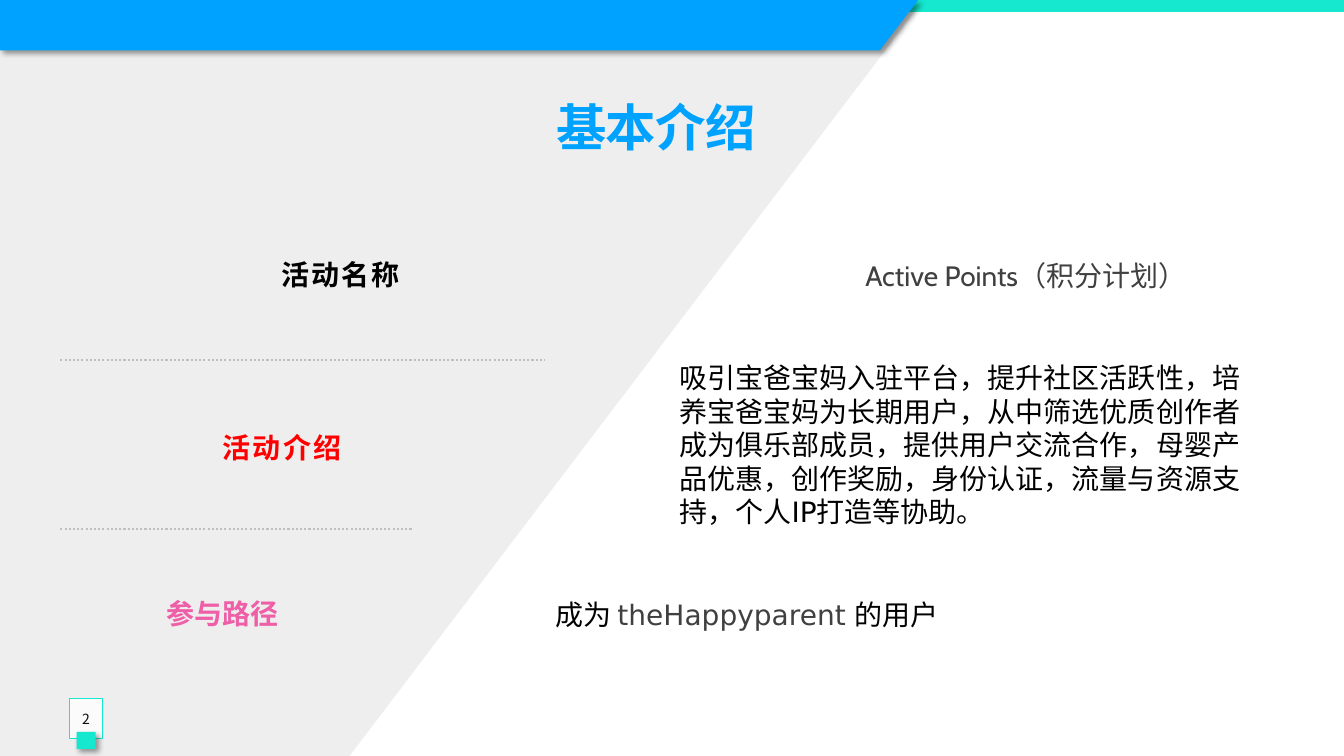
from lxml import etree
from pptx import Presentation
from pptx import util as u
from pptx.dml.color import RGBColor
from pptx.enum import dml, shapes, text
from pptx.oxml import parse_xml
from pptx.oxml.ns import nsdecls, qn

BLUE = RGBColor(0x00, 0xA2, 0xFF)
TEAL = RGBColor(0x16, 0xE7, 0xCF)
PALE = RGBColor(0xEE, 0xEE, 0xEE)
WHITE = RGBColor(0xFF, 0xFF, 0xFF)
BLACK = RGBColor(0x00, 0x00, 0x00)
INK = RGBColor(0x0D, 0x0D, 0x0D)
GREY = RGBColor(0x40, 0x40, 0x40)
RULE = RGBColor(0xBF, 0xBF, 0xBF)
RED = RGBColor(0xFF, 0x00, 0x00)
PINK = RGBColor(0xEF, 0x5F, 0xA7)
CJK = "Noto Sans CJK SC"
CENTER = text.PP_ALIGN.CENTER
MIDDLE = text.MSO_ANCHOR.MIDDLE


def write(sp, runs, font, size=20, bold=False, spacing=0, align=CENTER, anchor=MIDDLE, leading=None):
    tf = sp.text_frame
    tf.word_wrap = True
    tf.auto_size = text.MSO_AUTO_SIZE.NONE
    tf.vertical_anchor = anchor
    p = tf.paragraphs[0]
    p.alignment = align
    p.line_spacing = leading
    for words, colour in runs:
        r = p.add_run()
        r.text = words
        r.font.name = font
        r.font.size = u.Pt(size)
        r.font.bold = bold
        r.font.color.rgb = colour
        rpr = r.font._element
        rpr.set("spc", str(int(spacing * 100)))
        ea = etree.Element(qn("a:ea"), typeface=CJK)
        rpr.find(qn("a:latin")).addnext(ea)


def paint(sp, colour, shadow=False):
    sp.fill.solid()
    sp.fill.fore_color.rgb = colour
    sp.line.fill.background()
    sp.shadow.inherit = False
    if shadow:
        sp.element.spPr.find(qn("a:effectLst")).append(parse_xml(
            f'<a:outerShdw {nsdecls("a")} blurRad="50800" dist="38100" dir="2700000" algn="tl" rotWithShape="0">'
            '<a:srgbClr val="000000"><a:alpha val="40000"/></a:srgbClr></a:outerShdw>'))


prs = Presentation()
prs.slide_width = u.Cm(33.87)
prs.slide_height = u.Cm(19.05)
s = prs.slides.add_slide(prs.slide_layouts[5])

panel = [(0, 0), (23.14, 0), (23.14, 0.18), (8.81, 19.05), (0, 19.05)]
banner = [(0, 0), (23.14, 0), (22.17, 1.27), (0, 1.27)]
for outline, colour, shadow in [(panel, PALE, False), (banner, BLUE, True)]:
    points = [(u.Cm(x), u.Cm(y)) for x, y in outline]
    fb = s.shapes.build_freeform(*points[0])
    fb.add_line_segments(points[1:], close=True)
    sp = fb.convert_to_shape()
    paint(sp, colour, shadow)
    if outline is panel:
        strip = s.shapes.add_shape(shapes.MSO_SHAPE.RECTANGLE, 0, 0, prs.slide_width, u.Cm(0.3))
        paint(strip, TEAL)

title = s.shapes.title
sp.element.addnext(title.element)
title.left, title.top, title.width, title.height = u.Cm(1.52), u.Cm(2.29), u.Cm(30.02), u.Cm(3.56)
write(title, [("基本介绍", BLUE)], "Courier New", size=36, bold=True, spacing=-0.5,
      anchor=text.MSO_ANCHOR.TOP)

intro = ("吸引宝爸宝妈入驻平台，提升社区活跃性，培养宝爸宝妈为长期用户，从中筛选优质创作者成为俱乐部成员，"
         "提供用户交流合作，母婴产品优惠，创作奖励，身份认证，流量与资源支持，个人IP打造等协助。")
join = [("成为 ", BLACK), ("theHappyparent ", GREY), ("的用户", BLACK)]
label = dict(font=CJK, bold=True, spacing=1.5)
boxes = [
    (19.86, 5.66, 11.99, 2.54, [("Active Points（积分计划）", GREY)], dict(font="Cabin")),
    (1.73, 6.32, 13.72, 1.17, [("活动名称", BLACK)], label),
    (16.87, 9.93, 14.99, 2.54, [(intro, BLACK)],
     dict(font="DejaVu Sans", align=text.PP_ALIGN.LEFT, leading=u.Pt(24))),
    (1.52, 10.69, 11.18, 1.17, [("活动介绍", RED)], label),
    (13.74, 14.22, 18.08, 2.54, join, dict(font="DejaVu Sans", align=text.PP_ALIGN.JUSTIFY)),
    (1.52, 14.88, 8.2, 1.17, [("参与路径", PINK)], dict(font="Arial", bold=True)),
]
for x, y, w, h, runs, style in boxes:
    sp = s.shapes.add_textbox(u.Cm(x), u.Cm(y), u.Cm(w), u.Cm(h))
    write(sp, runs, **style)

number = s.shapes.add_shape(shapes.MSO_SHAPE.RECTANGLE, u.Cm(1.75), u.Cm(17.6), u.Cm(0.84), u.Cm(1.02))
paint(number, WHITE)
etree.SubElement(number.element.spPr.find(qn("a:solidFill"))[0], qn("a:alpha"), val="82000")
number.line.color.rgb = TEAL
number.line.width = u.Pt(0.75)
number.text_frame.margin_left = number.text_frame.margin_right = 0
write(number, [("2", INK)], CJK, size=10)

tab = s.shapes.add_shape(shapes.MSO_SHAPE.RECTANGLE, u.Cm(1.93), u.Cm(18.44), u.Cm(0.48), u.Cm(0.43))
paint(tab, TEAL, shadow=True)

for end, y in [(13.72, 9.07), (10.41, 13.34)]:
    rule = s.shapes.add_connector(shapes.MSO_CONNECTOR.STRAIGHT, u.Cm(1.52), u.Cm(y), u.Cm(end), u.Cm(y))
    rule.line.color.rgb = RULE
    rule.line.width = u.Pt(1.5)
    rule.line.dash_style = dml.MSO_LINE.ROUND_DOT
    etree.SubElement(rule.element.spPr, qn("a:effectLst"))

prs.save("out.pptx")
